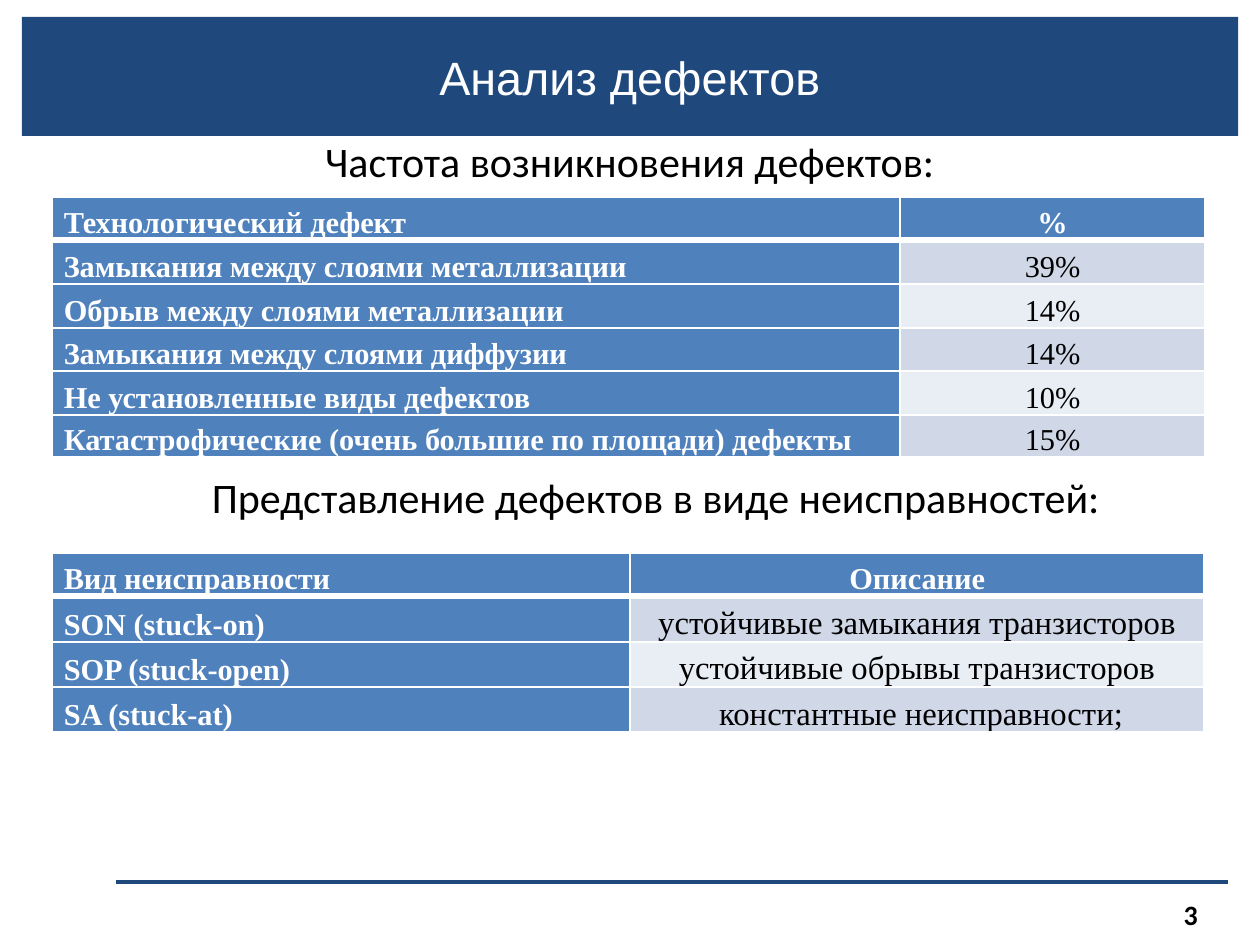
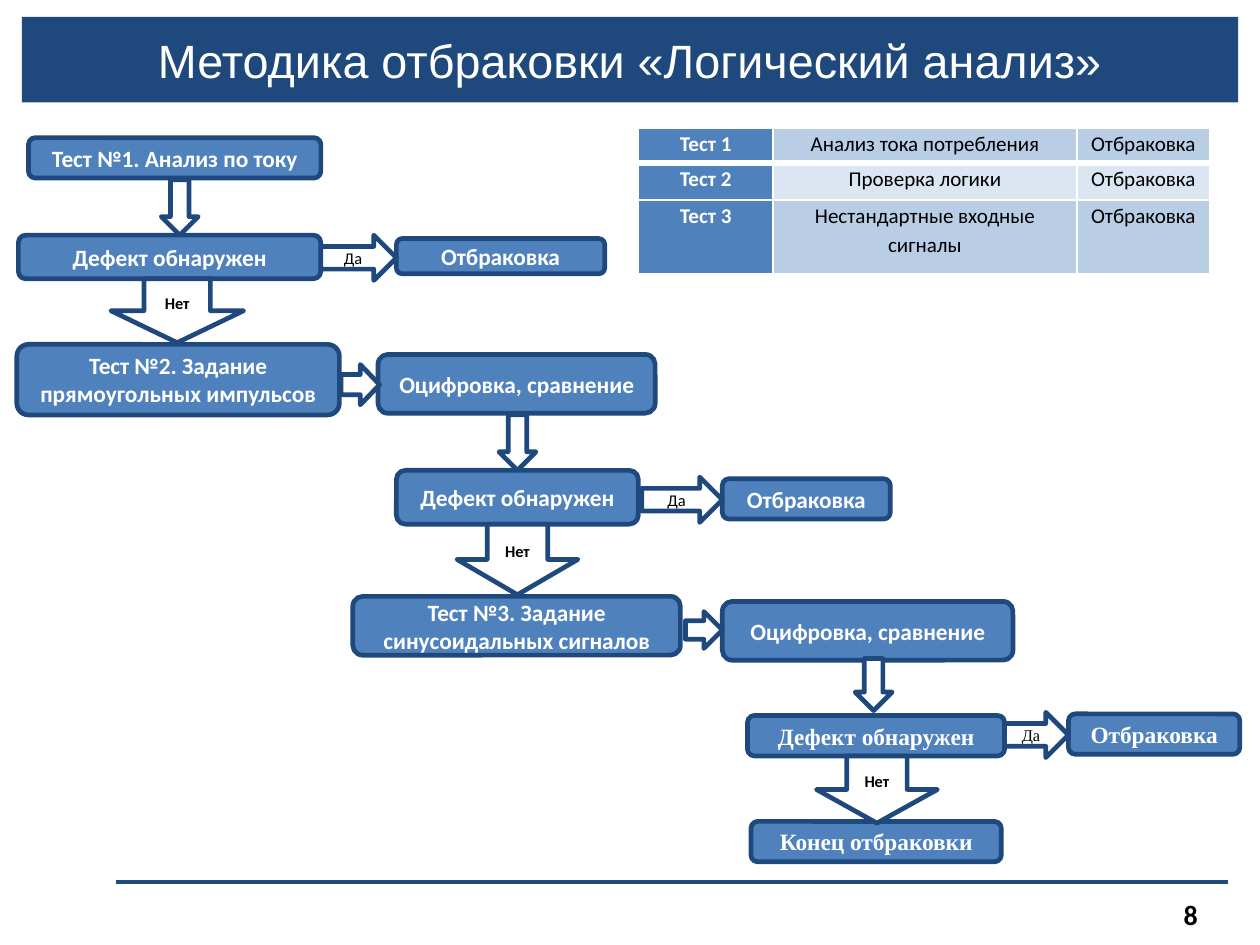
from pptx import Presentation
from pptx.util import Inches, Pt
from pptx.dml.color import RGBColor
from pptx.enum.shapes import MSO_SHAPE as Form, MSO_CONNECTOR as Link
from pptx.enum.text import PP_ALIGN as Align, MSO_ANCHOR as Anchor, MSO_AUTO_SIZE as Fit
from pptx.oxml.ns import qn
from lxml.etree import SubElement

NAVY = RGBColor(0x1F, 0x49, 0x7D)
BLUE = RGBColor(0x4F, 0x81, 0xBD)
WHITE = RGBColor(0xFF, 0xFF, 0xFF)
BLACK = RGBColor(0, 0, 0)
PALE = RGBColor(0xD0, 0xD8, 0xE8), RGBColor(0xE9, 0xED, 0xF4)
SKY = RGBColor(0xB9, 0xCD, 0xE5), RGBColor(0xDC, 0xE6, 0xF2)
SANS, SERIF, HEAD = "Calibri", "Times New Roman", "Arial"

# Content: tables
RATES = [
    ("Технологический дефект", "%"),
    ("Замыкания между слоями металлизации", "39%"),
    ("Обрыв между слоями металлизации", "14%"),
    ("Замыкания между слоями диффузии", "14%"),
    ("Не установленные виды дефектов", "10%"),
    ("Катастрофические (очень большие по площади) дефекты", "15%"),
]
FAULTS = [
    ("Вид неисправности", "Описание"),
    ("SON (stuck-on)", "устойчивые замыкания транзисторов"),
    ("SOP (stuck-open)", "устойчивые обрывы транзисторов"),
    ("SA (stuck-at)", " константные неисправности;"),
]
TESTS = [
    ("Тест 1", "Анализ тока потребления", "Отбраковка"),
    ("Тест 2", "Проверка логики", "Отбраковка"),
    ("Тест 3", "Нестандартные входные сигналы", "Отбраковка"),
]
# Captions: text, place
HEADS = [
    ("Частота возникновения дефектов:", (1.82, 0.76, 3.86, 0.4)),
    ("Представление дефектов в виде неисправностей:", (1.15, 2.76, 5.51, 0.4)),
]
# Flow chart steps: text, place, font
FOUND, DROP, SCAN = "Дефект обнаружен", "Отбраковка", "Оцифровка, сравнение"
STEPS = [
    ("Тест №1. Анализ по току", (0.17, 0.82, 1.74, 0.24), SANS),
    (FOUND, (0.11, 1.4, 1.8, 0.26), SANS),
    (DROP, (2.36, 1.42, 1.24, 0.21), SANS),
    ("Тест №2. Задание прямоугольных импульсов", (0.1, 2.05, 1.92, 0.42), SANS),
    (SCAN, (2.25, 2.11, 1.65, 0.35), SANS),
    (FOUND, (2.36, 2.8, 1.44, 0.32), SANS),
    (DROP, (4.3, 2.85, 1, 0.24), SANS),
    ("Тест №3. Задание синусоидальных сигналов", (2.1, 3.55, 1.95, 0.35), SANS),
    (SCAN, (4.3, 3.58, 1.73, 0.35), SANS),
    (FOUND, (4.45, 4.26, 1.53, 0.24), SERIF),
    (DROP, (6.36, 4.25, 1.02, 0.24), SERIF),
    ("Конец отбраковки", (4.47, 4.89, 1.49, 0.24), SERIF),
]
# Block arrows: text, form, place, font
DOWN, RIGHT = Form.DOWN_ARROW, Form.RIGHT_ARROW
ARROWS = [
    ("", DOWN, (0.96, 1.07, 0.22, 0.33), SANS),
    ("", DOWN, (2.97, 2.47, 0.22, 0.33), SANS),
    ("", DOWN, (5.09, 3.92, 0.22, 0.31), SANS),
    ("", RIGHT, (2.03, 2.17, 0.23, 0.24), SANS),
    ("", RIGHT, (4.08, 3.64, 0.22, 0.22), SANS),
    ("Нет", DOWN, (0.66, 1.66, 0.79, 0.38), SANS),
    ("Нет", DOWN, (2.72, 3.12, 0.72, 0.42), SANS),
    ("Нет", DOWN, (4.86, 4.5, 0.72, 0.4), SANS),
    ("Да", RIGHT, (1.91, 1.4, 0.45, 0.27), SANS),
    ("Да", RIGHT, (3.82, 2.84, 0.48, 0.27), SANS),
    ("Да", RIGHT, (5.98, 4.24, 0.38, 0.27), SERIF),
]


def place(at):
    return [Inches(n) for n in at]


def write(frame, text, hold=None, font=SANS, size=10, color=BLACK, bold=False,
          align=Align.CENTER, anchor=Anchor.MIDDLE, pad=(0.1, 0.05), lead=1, after=0):
    hold = hold or frame  # a cell keeps its own margins
    hold.margin_left = hold.margin_right = Inches(pad[0])
    hold.margin_top = hold.margin_bottom = Inches(pad[1])
    hold.vertical_anchor = anchor
    frame.word_wrap = True
    par = frame.paragraphs[0]
    par.alignment, par.line_spacing = align, lead
    par.space_before, par.space_after = Pt(0), Pt(after)
    run = par.add_run()
    run.text = text
    face = run.font
    face.name, face.size, face.bold = font, Pt(size), bold
    face.color.rgb = color


def label(slide, text, at, **look):
    write(slide.shapes.add_textbox(*place(at)).text_frame, text, **look)


def block(slide, form, at, fill, text, **look):
    shape = slide.shapes.add_shape(form, *place(at))
    shape.shadow.inherit = False
    shape.fill.solid()
    shape.fill.fore_color.rgb = fill
    shape.line.color.rgb = NAVY
    shape.line.width = Pt(2)
    if text:
        write(shape.text_frame, text, **look)


def edge(cell, side, width):
    line = SubElement(cell._tc.get_or_add_tcPr(), qn("a:ln" + side), w=str(Pt(width)))
    SubElement(SubElement(line, qn("a:solidFill")), qn("a:srgbClr"), val=str(WHITE))


def grid(slide, rows, at, cols, highs, tints, top=0, left=Align.LEFT, sizes=(13, 13), **look):
    """The first column and the first `top` rows are blue, the rest takes the tints in turn."""
    size = sum(cols), sum(highs)
    table = slide.shapes.add_table(len(rows), len(cols), *place(at + size)).table
    table.first_row = table.horz_banding = False
    for col, wide in zip(table.columns, cols):
        col.width = Inches(wide)
    for r, (row, high) in enumerate(zip(rows, highs)):
        table.rows[r].height = Inches(high)
        for c, text in enumerate(row):
            cell = table.cell(r, c)
            for side, width in zip("LRTB", (1, 1, 3 if r == 1 else 1, 3 if r == 0 else 1)):
                edge(cell, side, width)
            key = r < top or c == 0
            cell.fill.solid()
            cell.fill.fore_color.rgb = BLUE if key else tints[(r - top) % 2]
            write(cell.text_frame, text, cell, size=sizes[0 if key else 1], bold=key,
                  color=WHITE if key else BLACK, align=Align.CENTER if c else left,
                  pad=(0.07, 0), lead=1.15, **look)


def begin(deck, title, high, page):
    slide = deck.slides.add_slide(deck.slide_layouts[5])
    # Title band
    band = slide.shapes.title
    band.left, band.top, band.width, band.height = place((0.13, 0.1, 7.24, high))
    band.fill.solid()
    band.fill.fore_color.rgb = NAVY
    band.text_frame.auto_size = Fit.NONE
    write(band.text_frame, title, font=HEAD, size=20, color=WHITE)
    # Footer rule and page number
    rule = slide.shapes.add_connector(Link.STRAIGHT, *place((0.69, 5.25, 7.31, 5.25)))
    rule.line.color.rgb = NAVY
    rule.line.width = Pt(1.5)
    SubElement(rule._element.spPr, qn("a:effectLst"))
    label(slide, page, (5.45, 5.29, 1.75, 0.3), size=12, bold=True,
          align=Align.RIGHT, pad=(0.07, 0.04))
    return slide


def main():
    deck = Presentation()
    deck.slide_width = Inches(7.5)
    deck.slide_height = deck.slide_width * 3 // 4

    # Defect tables
    slide = begin(deck, "Анализ дефектов", 0.71, "3")
    for text, at in HEADS:
        label(slide, text, at, size=18, anchor=Anchor.TOP)
    look = dict(tints=PALE, top=1, font=SERIF, anchor=Anchor.BOTTOM, after=10)
    grid(slide, RATES, (0.31, 1.17), (5.05, 1.81), [0.26] * 5 + [0.25], **look)
    grid(slide, FAULTS, (0.31, 3.29), (3.44, 3.42), (0.26, 0.27, 0.27, 0.26),
         sizes=(13, 14), **look)

    # Flow chart with its summary table
    slide = begin(deck, "Методика отбраковки «Логический анализ»", 0.51, "8")
    for text, at, font in STEPS:
        block(slide, Form.ROUNDED_RECTANGLE, at, BLUE, text, font=font,
              color=WHITE, bold=True, pad=(0.05, 0.02))
    for text, form, at, font in ARROWS:
        block(slide, form, at, WHITE, text, font=font, size=7,
              bold=form == DOWN, pad=(0, 0))
    grid(slide, TESTS, (3.8, 0.76), (0.8, 1.81, 0.79), (0.21, 0.22, 0.44), SKY,
         left=Align.CENTER, sizes=(9, 9), anchor=Anchor.TOP)
    deck.save("out.pptx")


if __name__ == "__main__":
    main()
